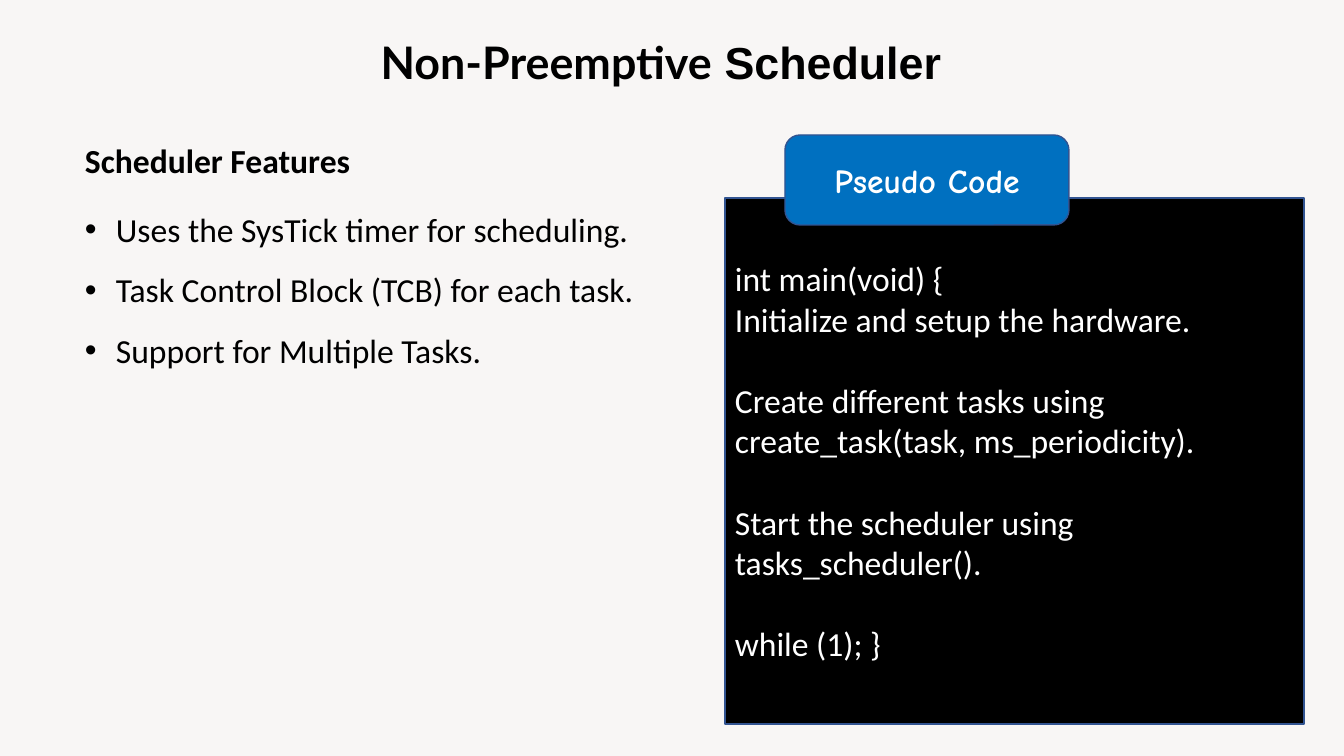
from lxml.etree import SubElement
from pptx import Presentation
from pptx.dml.color import RGBColor
from pptx.enum.shapes import MSO_SHAPE
from pptx.enum.text import MSO_ANCHOR, MSO_AUTO_SIZE, PP_ALIGN
from pptx.oxml.ns import qn
from pptx.util import Pt

PAGE_SIZE = (1344, 756)
PX = 12192000 / PAGE_SIZE[0]

BACKGROUND, BLACK, WHITE = "F8F6F5", "000000", "FFFFFF"
BLUE, OUTLINE = "0070C0", "325491"

TITLE = [("Non-Preemptive", "Lato"), (" Scheduler", "Arial")]
FEATURES_HEADING = "Scheduler Features"
FEATURES = [
    "Uses the SysTick timer for scheduling.",
    "Task Control Block (TCB) for each task.",
    "Support for Multiple Tasks.",
]
BADGE = "Pseudo Code"
CODE_BLOCKS = [
    ["int main(void) {", "Initialize and setup the hardware."],
    ["Create different tasks using create_task(task, ms_periodicity)."],
    ["Start the scheduler using tasks_scheduler()."],
    ["while (1); }"],
]

TITLE_BOX = (217, 30, 888, 65)
FEATURES_BOX = (75, 135, 665, 457)
CODE_BOX = (725, 198, 579, 526)
BADGE_BOX = (785, 135, 284, 90)
BULLET_INDENT = 31
CODE_GAP = 29.3  # points, the height of one line of code


def px(length):
    return round(length * PX)


def color(value):
    return RGBColor.from_string(value)


def set_frame(frame, anchor=MSO_ANCHOR.TOP):
    frame.word_wrap = True
    frame.auto_size = MSO_AUTO_SIZE.NONE
    frame.vertical_anchor = anchor


def add_para(frame, spans, size=24, fill=BLACK, bold=False, align=PP_ALIGN.LEFT,
             before=0, after=0, spacing=1.0):
    """Write (text, font) spans as one paragraph, using the empty first one if free."""
    first = frame.paragraphs[0]
    para = frame.add_paragraph() if first.runs else first
    para.alignment = align
    para.space_before, para.space_after = Pt(before), Pt(after)
    para.line_spacing = spacing
    for text, font in spans:
        span = para.add_run()
        span.text = text
        span.font.name, span.font.size, span.font.bold = font, Pt(size), bold
        span.font.color.rgb = color(fill)
    return para


def add_bullet(para):
    properties = para._p.get_or_add_pPr()
    properties.set("marL", str(px(BULLET_INDENT)))
    properties.set("indent", str(-px(BULLET_INDENT)))
    SubElement(properties, qn("a:buFont"), typeface="Arial")
    SubElement(properties, qn("a:buChar"), char="•")


def add_panel(page, kind, box, fill):
    """Add a filled, outlined shape and return its text frame."""
    panel = page.shapes.add_shape(kind, *map(px, box))
    panel.shadow.inherit = False
    panel.fill.solid()
    panel.fill.fore_color.rgb = color(fill)
    panel.line.color.rgb = color(OUTLINE)
    panel.line.width = Pt(1)
    set_frame(panel.text_frame, MSO_ANCHOR.MIDDLE)
    return panel.text_frame


def add_title(page):
    title = page.shapes.title
    title.left, title.top, title.width, title.height = map(px, TITLE_BOX)
    set_frame(title.text_frame)
    add_para(title.text_frame, TITLE, size=32, bold=True, align=PP_ALIGN.CENTER)


def add_features(page):
    frame = page.shapes.add_textbox(*map(px, FEATURES_BOX)).text_frame
    set_frame(frame)
    add_para(frame, [(FEATURES_HEADING, "Calibri")], bold=True, after=6)
    for feature in FEATURES:
        add_bullet(add_para(frame, [(feature, "Calibri")], spacing=1.5))


def add_code(page):
    frame = add_panel(page, MSO_SHAPE.RECTANGLE, CODE_BOX, BLACK)
    for block_index, block in enumerate(CODE_BLOCKS):
        for line_index, line in enumerate(block):
            starts_block = block_index > 0 and line_index == 0
            add_para(frame, [(line, "Calibri")], fill=WHITE,
                     before=CODE_GAP if starts_block else 0)
    badge = add_panel(page, MSO_SHAPE.ROUNDED_RECTANGLE, BADGE_BOX, BLUE)
    add_para(badge, [(BADGE, "Comic Neue")], fill=WHITE, bold=True,
             align=PP_ALIGN.CENTER)


def main():
    deck = Presentation()
    deck.slide_width, deck.slide_height = map(px, PAGE_SIZE)
    page = deck.slides.add_slide(deck.slide_layouts[5])
    page.background.fill.solid()
    page.background.fill.fore_color.rgb = color(BACKGROUND)
    add_title(page)
    add_features(page)
    add_code(page)
    deck.save("out.pptx")


if __name__ == "__main__":
    main()
